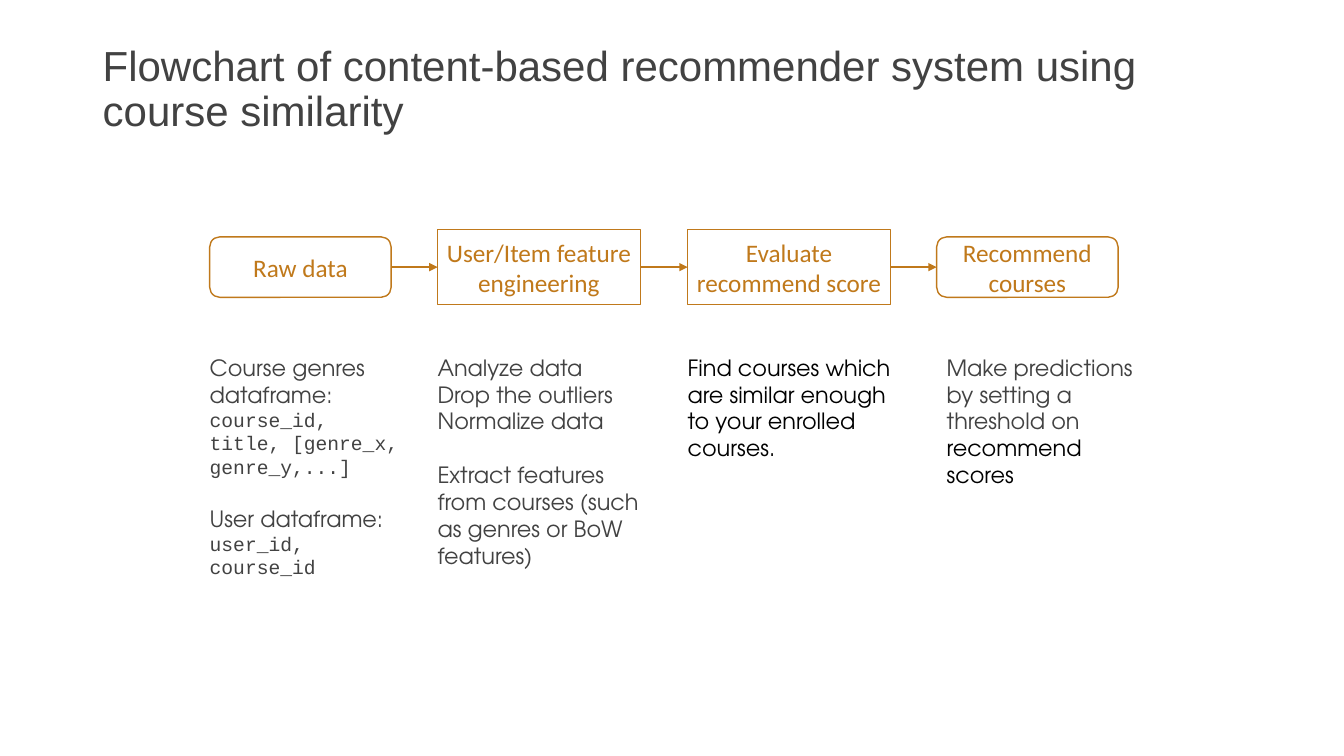
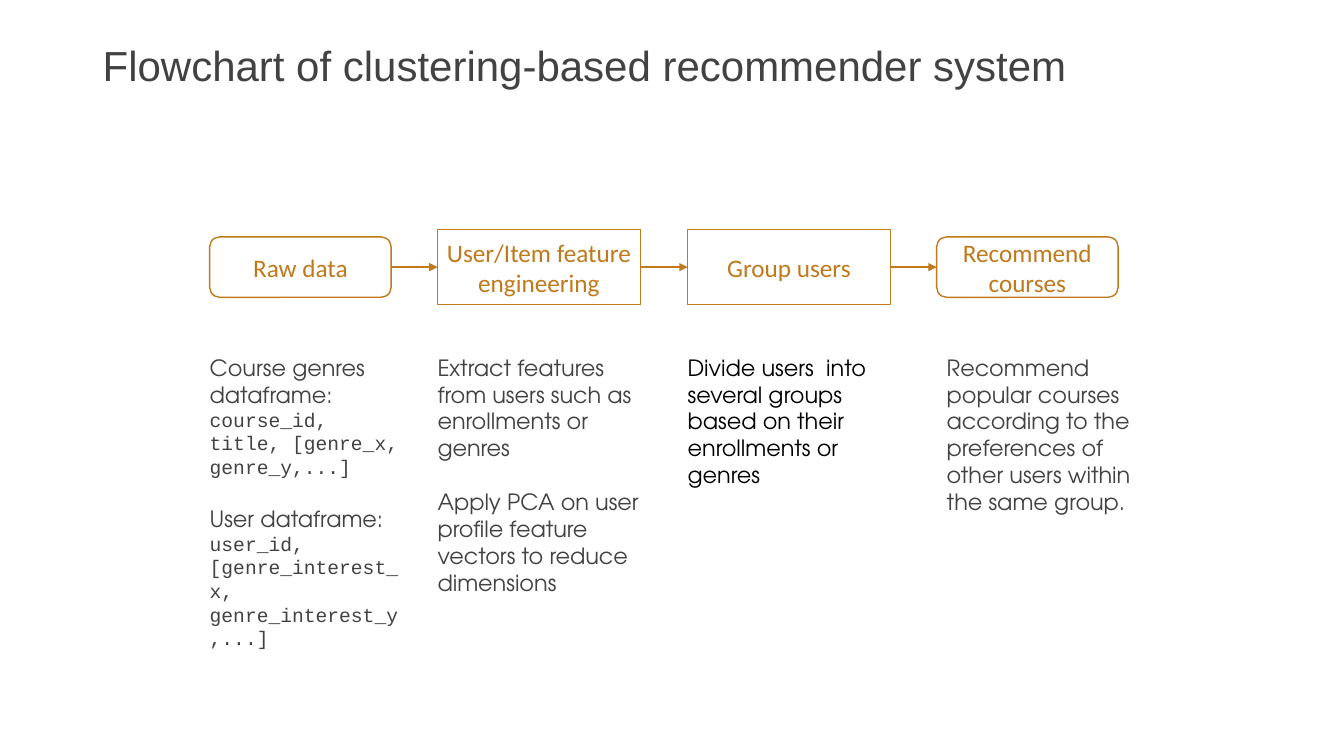
from dataclasses import dataclass
from itertools import pairwise

from lxml import etree
from pptx import Presentation
from pptx import util as u
from pptx.dml.color import RGBColor
from pptx.enum import shapes, text
from pptx.oxml import ns

PX = 9144


def px(length):
    return u.Emu(length * PX)


@dataclass(frozen=True)
class TextStyle:
    font: str
    size: int
    color: str


@dataclass(frozen=True)
class Theme:
    background: str = "FFFFFF"
    accent: str = "C0791B"
    title: TextStyle = TextStyle("Arial", 30, "424242")
    step: TextStyle = TextStyle("Calibri", 18, "C0791B")
    body: TextStyle = TextStyle("TeX Gyre Adventor", 16, "424242")
    strong: TextStyle = TextStyle("TeX Gyre Adventor", 16, "000000")
    code: TextStyle = TextStyle("Courier New", 14, "424242")
    box_line: float = 1
    arrow_line: float = 1.25
    block_gap: float = 19.2


@dataclass(frozen=True)
class Step:
    left: int
    width: int
    height: int
    preset: shapes.MSO_SHAPE
    note_left: int
    note_width: int

    @property
    def right(self):
        return self.left + self.width


THEME = Theme()
FLOW_CENTER = 265
NOTE_TOP = 341
NOTE_HEIGHT = 282
ROUNDED = shapes.MSO_SHAPE.ROUNDED_RECTANGLE
RECTANGLE = shapes.MSO_SHAPE.RECTANGLE
STEPS = [
    Step(208, 180, 60, ROUNDED, 208, 195),
    Step(434, 201, 74, RECTANGLE, 434, 213),
    Step(682, 201, 74, RECTANGLE, 682, 218),
    Step(929, 180, 60, ROUNDED, 939, 193),
]


class Deck:
    def __init__(self, theme):
        self.theme = theme
        self.presentation = Presentation()
        self.presentation.slide_width = px(1333)
        self.presentation.slide_height = px(750)
        self.slide = None

    def new_slide(self, title):
        self.slide = self.presentation.slides.add_slide(self.presentation.slide_layouts[6])
        fill = self.slide.background.fill
        fill.solid()
        fill.fore_color.rgb = RGBColor.from_string(self.theme.background)
        frame = self.text_box(92, 40, 1150, 145, 10, 5)
        frame.paragraphs[0].line_spacing = 0.9
        self.run(frame.paragraphs[0], title, self.theme.title)

    def run(self, paragraph, words, style):
        run = paragraph.add_run()
        run.text = words
        run.font.name = style.font
        run.font.size = u.Pt(style.size)
        run.font.color.rgb = RGBColor.from_string(style.color)

    def set_frame(self, frame, side, edge):
        frame.word_wrap = True
        frame.margin_left = frame.margin_right = px(side)
        frame.margin_top = frame.margin_bottom = px(edge)

    def text_box(self, left, top, width, height, side, edge):
        shape = self.slide.shapes.add_textbox(px(left), px(top), px(width), px(height))
        self.set_frame(shape.text_frame, side, edge)
        return shape.text_frame

    def note(self, step, blocks):
        frame = self.text_box(step.note_left, NOTE_TOP, step.note_width, NOTE_HEIGHT, 0, 10)
        paragraph = None
        for block in blocks:
            for position, runs in enumerate(block):
                if paragraph is None:
                    paragraph = frame.paragraphs[0]
                else:
                    paragraph = frame.add_paragraph()
                    if position == 0:
                        paragraph.space_before = u.Pt(self.theme.block_gap)
                for words, style in runs:
                    self.run(paragraph, words, style)

    def step_box(self, step, label):
        shape = self.slide.shapes.add_shape(
            step.preset, px(step.left), px(FLOW_CENTER - step.height // 2),
            px(step.width), px(step.height))
        shape.shadow.inherit = False
        shape.fill.solid()
        shape.fill.fore_color.rgb = RGBColor.from_string(self.theme.background)
        shape.line.color.rgb = RGBColor.from_string(self.theme.accent)
        shape.line.width = u.Pt(self.theme.box_line)
        frame = shape.text_frame
        self.set_frame(frame, 0, 5)
        frame.vertical_anchor = text.MSO_ANCHOR.MIDDLE
        paragraph = frame.paragraphs[0]
        paragraph.alignment = text.PP_ALIGN.CENTER
        self.run(paragraph, label, self.theme.step)

    def arrow(self, start, end):
        connector = self.slide.shapes.add_connector(
            shapes.MSO_CONNECTOR.STRAIGHT,
            px(start), px(FLOW_CENTER), px(end), px(FLOW_CENTER))
        connector.line.color.rgb = RGBColor.from_string(self.theme.accent)
        connector.line.width = u.Pt(self.theme.arrow_line)
        properties = connector._element.spPr
        etree.SubElement(properties.find(ns.qn("a:ln")), ns.qn("a:tailEnd"), type="triangle")
        etree.SubElement(properties, ns.qn("a:effectLst"))

    def flowchart(self, title, labels, notes):
        self.new_slide(title)
        for step, blocks in zip(STEPS, notes):
            self.note(step, blocks)
        for step, label in zip(STEPS, labels):
            self.step_box(step, label)
        for step, following in pairwise(STEPS):
            self.arrow(step.right, following.left)


def body(words):
    return [(words, THEME.body)]


def strong(words):
    return [(words, THEME.strong)]


def code(words):
    return [(words, THEME.code)]


def labels(evaluation):
    return ["Raw data", "User/Item feature engineering", evaluation, "Recommend courses"]


def raw_data(user_columns):
    return [
        [body("Course genres dataframe:"), code("course_id, title, [genre_x, genre_y,...]")],
        [body("User dataframe:"), code(user_columns)],
    ]


def main():
    deck = Deck(THEME)
    deck.flowchart(
        "Flowchart of content-based recommender system using course similarity",
        labels("Evaluate recommend score"),
        [
            raw_data("user_id, course_id"),
            [
                [body("Analyze data"), body("Drop the outliers Normalize data")],
                [body("Extract features from courses (such as genres or BoW features)")],
            ],
            [[strong("Find courses which are similar enough to your enrolled courses.")]],
            [[body("Make predictions by setting a threshold on ") + strong("recommend scores")]],
        ],
    )
    deck.flowchart(
        "Flowchart of clustering-based recommender system",
        labels("Group users"),
        [
            raw_data("user_id, [genre_interest_x, genre_interest_y,...]"),
            [
                [body("Extract features from users such as enrollments or genres")],
                [body("Apply PCA on user profile feature vectors to reduce dimensions")],
            ],
            [[strong("Divide users  into several groups based on their enrollments or genres")]],
            [[body("Recommend popular courses according to the preferences of "
                   "other users within the same group.")]],
        ],
    )
    deck.presentation.save("out.pptx")


if __name__ == "__main__":
    main()
